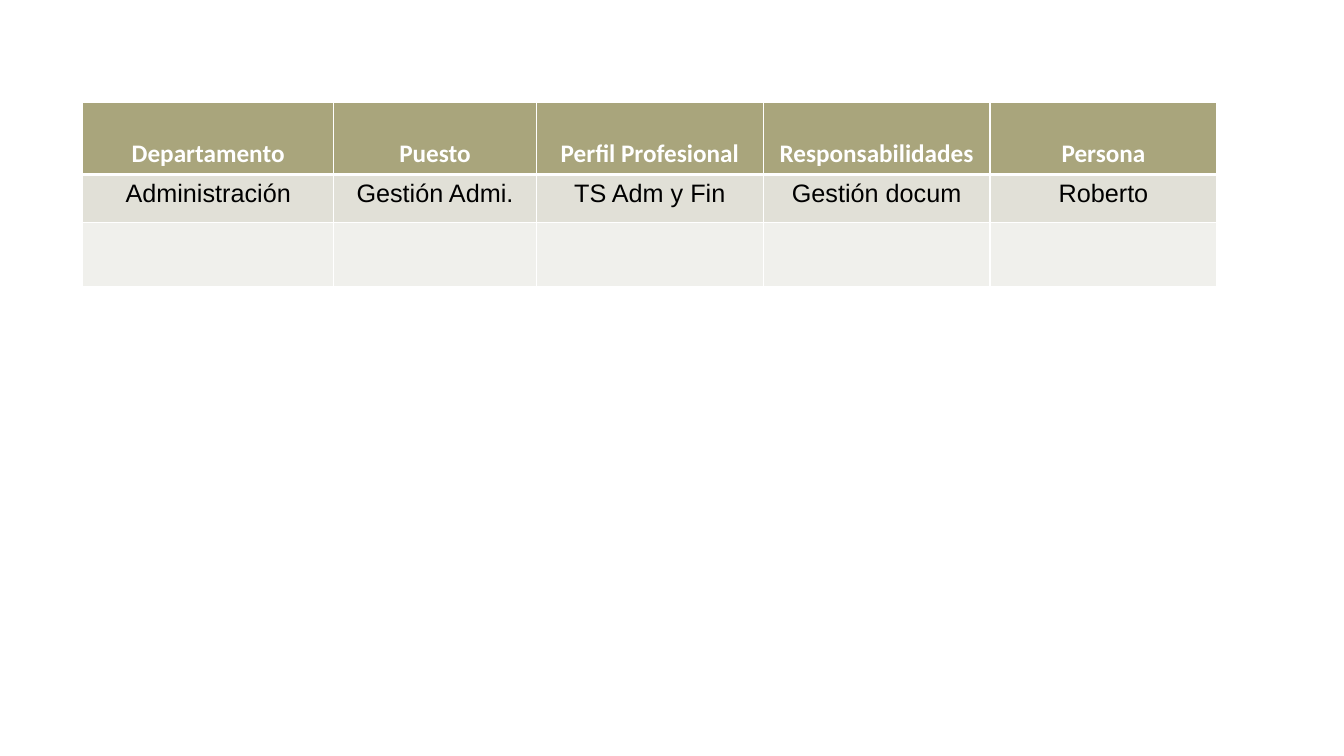
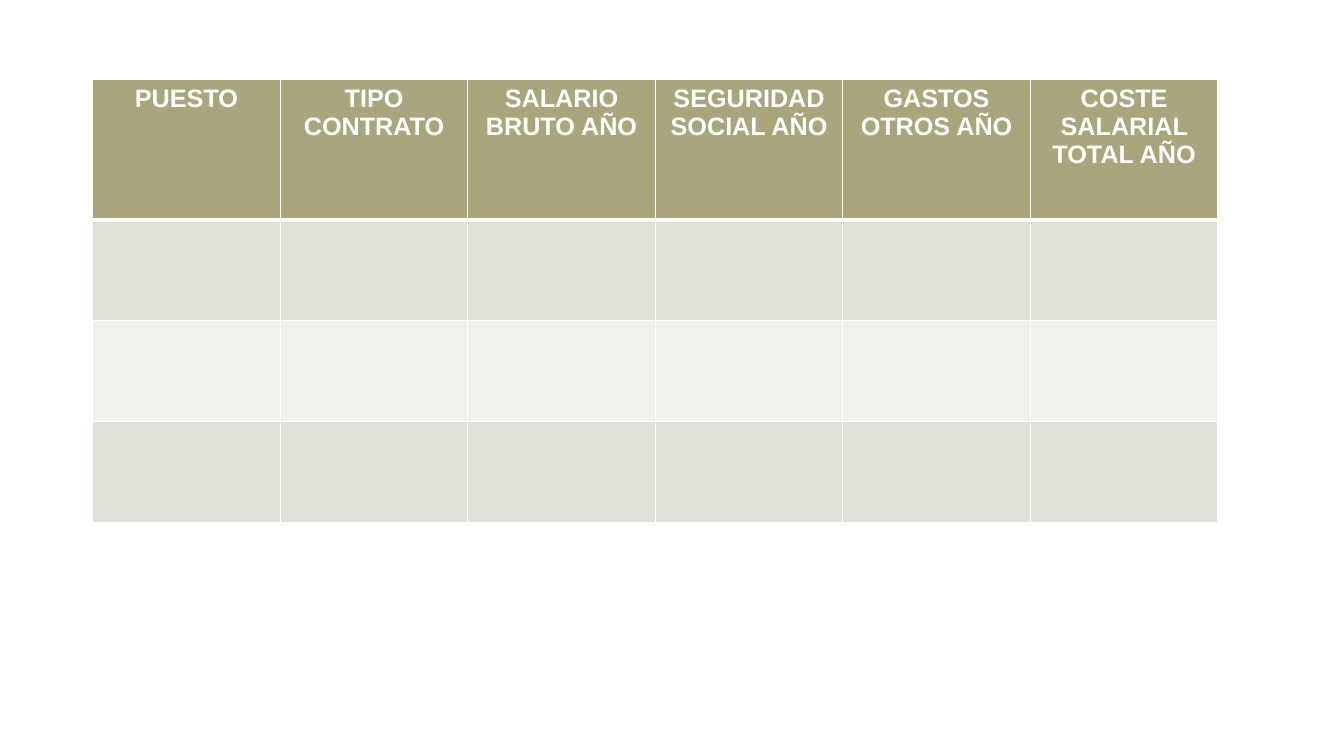
from lxml import etree
from pptx import Presentation
from pptx import util as u
from pptx.dml.color import RGBColor
from pptx.enum import text
from pptx.oxml.ns import qn

PX = 9144  # EMU per px, 100 px to the inch
SLIDE_W, SLIDE_H = 1333, 750

WHITE = RGBColor(0xFF, 0xFF, 0xFF)
BLACK = RGBColor(0x00, 0x00, 0x00)
HEADER = RGBColor(0xA9, 0xA5, 0x7C)
BANDS = [RGBColor(0xE1, 0xE0, 0xD7), RGBColor(0xF0, 0xF0, 0xEC)]
THIN, THICK = 0.96, 3

TABLES = [
    dict(
        left=82, top=102, cols=[249, 201, 225, 225, 225], rows=[71, 48, 63],
        header=["Departamento", "Puesto", "Perfil Profesional",
                "Responsabilidades", "Persona"],
        body=[["Administración", "Gestión Admi.", "TS Adm y Fin",
               "Gestión docum", "Roberto"]],
        header_font="Calibri", header_anchor=text.MSO_ANCHOR.BOTTOM,
    ),
    dict(
        left=92, top=79, cols=[186] * 6, rows=[139] + [100] * 3,
        header=["PUESTO", "TIPO CONTRATO", "SALARIO BRUTO AÑO",
                "SEGURIDAD SOCIAL AÑO", "GASTOS OTROS AÑO",
                "COSTE SALARIAL TOTAL AÑO"],
        body=[],
        header_font="Arial", header_anchor=text.MSO_ANCHOR.TOP,
    ),
]


def px(n):
    return u.Emu(n * PX)


def write(tf, words, font="Arial", size=18, color=BLACK, bold=False):
    p = tf.paragraphs[0]
    p.alignment = text.PP_ALIGN.CENTER
    r = p.add_run()
    r.text = words
    r.font.name, r.font.size, r.font.bold = font, u.Pt(size), bold
    r.font.color.rgb = color


def set_borders(cell, top, bottom):
    """Draw white cell edges; widths are in points."""
    tc_pr = cell._tc.get_or_add_tcPr()
    for side, width in zip("LRTB", (THIN, THIN, top, bottom)):
        ln = etree.SubElement(tc_pr, qn(f"a:ln{side}"), w=str(u.Pt(width)))
        fill = etree.SubElement(ln, qn("a:solidFill"))
        etree.SubElement(fill, qn("a:srgbClr"), val=str(WHITE))


def add_banded_table(slide, data):
    cols, rows = data["cols"], data["rows"]
    table = slide.shapes.add_table(
        len(rows), len(cols), px(data["left"]), px(data["top"]),
        px(sum(cols)), px(sum(rows))).table
    for column, width in zip(table.columns, cols):
        column.width = px(width)
    content = [data["header"]] + data["body"]
    for i, height in enumerate(rows):
        table.rows[i].height = px(height)
        is_header = i == 0
        for j in range(len(cols)):
            cell = table.cell(i, j)
            set_borders(cell, top=THICK if i == 1 else THIN,
                        bottom=THICK if is_header else THIN)
            cell.fill.solid()
            cell.fill.fore_color.rgb = HEADER if is_header else BANDS[(i - 1) % 2]
            if is_header:
                cell.vertical_anchor = data["header_anchor"]
                write(cell.text_frame, content[i][j], font=data["header_font"],
                      color=WHITE, bold=True)
            elif i < len(content):
                write(cell.text_frame, content[i][j])


def main():
    prs = Presentation()
    prs.slide_width, prs.slide_height = px(SLIDE_W), px(SLIDE_H)
    blank = prs.slide_layouts[6]
    for data in TABLES:
        add_banded_table(prs.slides.add_slide(blank), data)
    prs.save("out.pptx")


if __name__ == "__main__":
    main()
